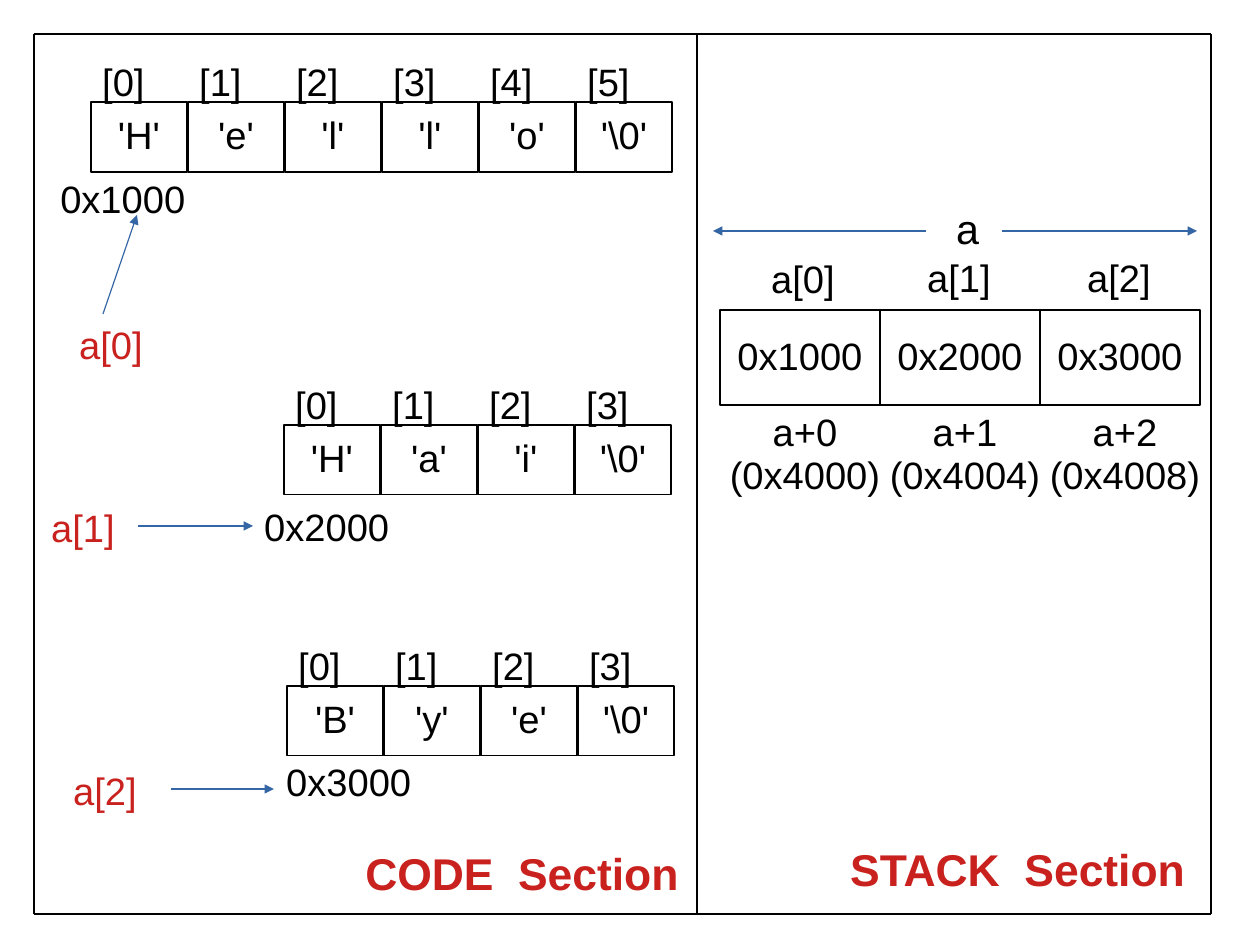
from dataclasses import dataclass

import lxml.etree
import pptx
import pptx.dml.color
import pptx.enum.shapes
import pptx.enum.text
import pptx.oxml.ns
import pptx.shapes.autoshape
import pptx.slide
import pptx.util

PX = 8000  # EMU in one px, so that 28 by 21 cm is 1260 by 945 px
SLIDE_W, SLIDE_H = 1260, 945
ALIGN = pptx.enum.text.PP_ALIGN
ANCHOR = pptx.enum.text.MSO_ANCHOR


@dataclass(frozen=True)
class Theme:
    font: str = "Arial"
    black: str = "000000"
    white: str = "FFFFFF"
    red: str = "C9211E"
    blue: str = "3465A4"
    body: int = 24
    name: int = 26
    head: int = 28
    line: float = 0.75
    space: float = 0.94


@dataclass(frozen=True)
class Box:
    x: int
    y: int
    w: int
    h: int


@dataclass(frozen=True)
class Word:
    """A string stored in the code section, one cell per character."""
    x: int
    y: int
    chars: tuple[str, ...]


@dataclass(frozen=True)
class Label:
    text: str
    box: Box
    size: int
    color: str
    bold: bool = False


@dataclass(frozen=True)
class Line:
    x1: int
    y1: int
    x2: int
    y2: int


THEME = Theme()

CELL_W, CELL_H, CELL_STEP = 96, 70, 97
INDEX_W, INDEX_H = 97, 45
SLOT_X, SLOT_Y, SLOT_W, SLOT_H = 720, 310, 160, 95
NOTE_X, NOTE_Y, NOTE_W, NOTE_H = 702, 407, 206, 117

WORDS = (
    Word(91, 102, ("'H'", "'e'", "'l'", "'l'", "'o'", "'\\0'")),
    Word(284, 425, ("'H'", "'a'", "'i'", "'\\0'")),
    Word(287, 686, ("'B'", "'y'", "'e'", "'\\0'")),
)

SLOTS = (
    ("0x1000", "(0x4000)"),
    ("0x2000", "(0x4004)"),
    ("0x3000", "(0x4008)"),
)

LABELS = (
    Label("a", Box(945, 202, 46, 48), THEME.name, THEME.black),
    Label("a[0]", Box(760, 254, 89, 45), THEME.body, THEME.black),
    Label("a[1]", Box(916, 253, 89, 45), THEME.body, THEME.black),
    Label("a[2]", Box(1076, 253, 89, 45), THEME.body, THEME.black),
    Label("a[0]", Box(68, 320, 89, 45), THEME.body, THEME.red),
    Label("a[1]", Box(40, 503, 89, 45), THEME.body, THEME.red),
    Label("a[2]", Box(62, 766, 89, 45), THEME.body, THEME.red),
    Label("0x1000", Box(49, 174, 148, 54), THEME.body, THEME.black),
    Label("0x2000", Box(253, 502, 148, 54), THEME.body, THEME.black),
    Label("0x3000", Box(275, 757, 148, 54), THEME.body, THEME.black),
    Label("STACK  Section", Box(839, 841, 362, 62), THEME.head, THEME.red, True),
    Label("CODE  Section", Box(354, 845, 338, 62), THEME.head, THEME.red, True),
)

ARROWS = (
    Line(926, 231, 713, 231),
    Line(1002, 231, 1197, 231),
    Line(103, 314, 137, 215),
    Line(138, 526, 253, 526),
    Line(171, 789, 274, 789),
)

FRAME = (
    Line(34, 34, 34, 914),
    Line(34, 34, 1211, 34),
    Line(1211, 34, 1211, 914),
    Line(34, 914, 1211, 914),
    Line(697, 34, 697, 914),
)


def rgb(color: str) -> pptx.dml.color.RGBColor:
    return pptx.dml.color.RGBColor.from_string(color)


def place(box: Box) -> tuple[int, int, int, int]:
    return box.x * PX, box.y * PX, box.w * PX, box.h * PX


def write(shape: pptx.shapes.autoshape.Shape, rows: tuple[str, ...],
          align: ALIGN = ALIGN.LEFT, anchor: ANCHOR = ANCHOR.TOP,
          size: int = THEME.body, color: str = THEME.black,
          bold: bool = False) -> None:
    """Put one paragraph per row into the shape."""
    frame = shape.text_frame
    frame.word_wrap = False
    frame.vertical_anchor = anchor
    for i, text in enumerate(rows):
        para = frame.add_paragraph() if i else frame.paragraphs[0]
        para.alignment = align
        para.line_spacing = THEME.space
        run = para.add_run()
        run.text = text
        run.font.name = THEME.font
        run.font.size = pptx.util.Pt(size)
        run.font.bold = bold
        run.font.color.rgb = rgb(color)


def add_cell(slide: pptx.slide.Slide, box: Box, text: str) -> None:
    cell = slide.shapes.add_shape(
        pptx.enum.shapes.MSO_SHAPE.RECTANGLE, *place(box))
    cell.shadow.inherit = False
    cell.fill.solid()
    cell.fill.fore_color.rgb = rgb(THEME.white)
    cell.line.color.rgb = rgb(THEME.black)
    cell.line.width = pptx.util.Pt(THEME.line)
    write(cell, (text,), ALIGN.CENTER, ANCHOR.MIDDLE)


def add_word(slide: pptx.slide.Slide, word: Word) -> None:
    for i, char in enumerate(word.chars):
        x = word.x + i * CELL_STEP
        add_cell(slide, Box(x, word.y, CELL_W, CELL_H), char)
        index = Box(x, word.y - INDEX_H, INDEX_W, INDEX_H)
        write(slide.shapes.add_textbox(*place(index)), (f"[{i}]",))


def add_slot(slide: pptx.slide.Slide, i: int, value: str, address: str) -> None:
    """Draw pointer i of the array with its address beneath."""
    shift = i * SLOT_W
    add_cell(slide, Box(SLOT_X + shift, SLOT_Y, SLOT_W, SLOT_H), value)
    note = slide.shapes.add_textbox(
        *place(Box(NOTE_X + shift, NOTE_Y, NOTE_W, NOTE_H)))
    write(note, (f"a+{i}", address), ALIGN.CENTER)
    note.text_frame.word_wrap = True


def add_label(slide: pptx.slide.Slide, label: Label) -> None:
    shape = slide.shapes.add_textbox(*place(label.box))
    write(shape, (label.text,), size=label.size, color=label.color,
          bold=label.bold)


def add_line(slide: pptx.slide.Slide, line: Line, color: str,
             arrow: bool = False) -> None:
    link = slide.shapes.add_connector(
        pptx.enum.shapes.MSO_CONNECTOR.STRAIGHT,
        line.x1 * PX, line.y1 * PX, line.x2 * PX, line.y2 * PX)
    link.line.color.rgb = rgb(color)
    link.line.width = pptx.util.Pt(THEME.line)
    qn = pptx.oxml.ns.qn
    props = link._element.spPr
    if arrow:
        lxml.etree.SubElement(props.find(qn("a:ln")), qn("a:tailEnd"),
                              type="triangle")
    lxml.etree.SubElement(props, qn("a:effectLst"))


def main() -> None:
    deck = pptx.Presentation()
    deck.slide_width, deck.slide_height = SLIDE_W * PX, SLIDE_H * PX
    slide = deck.slides.add_slide(deck.slide_layouts[6])
    for word in WORDS:
        add_word(slide, word)
    for i, (value, address) in enumerate(SLOTS):
        add_slot(slide, i, value, address)
    for label in LABELS:
        add_label(slide, label)
    for line in ARROWS:
        add_line(slide, line, THEME.blue, arrow=True)
    for line in FRAME:
        add_line(slide, line, THEME.black)
    deck.save("out.pptx")


if __name__ == "__main__":
    main()
